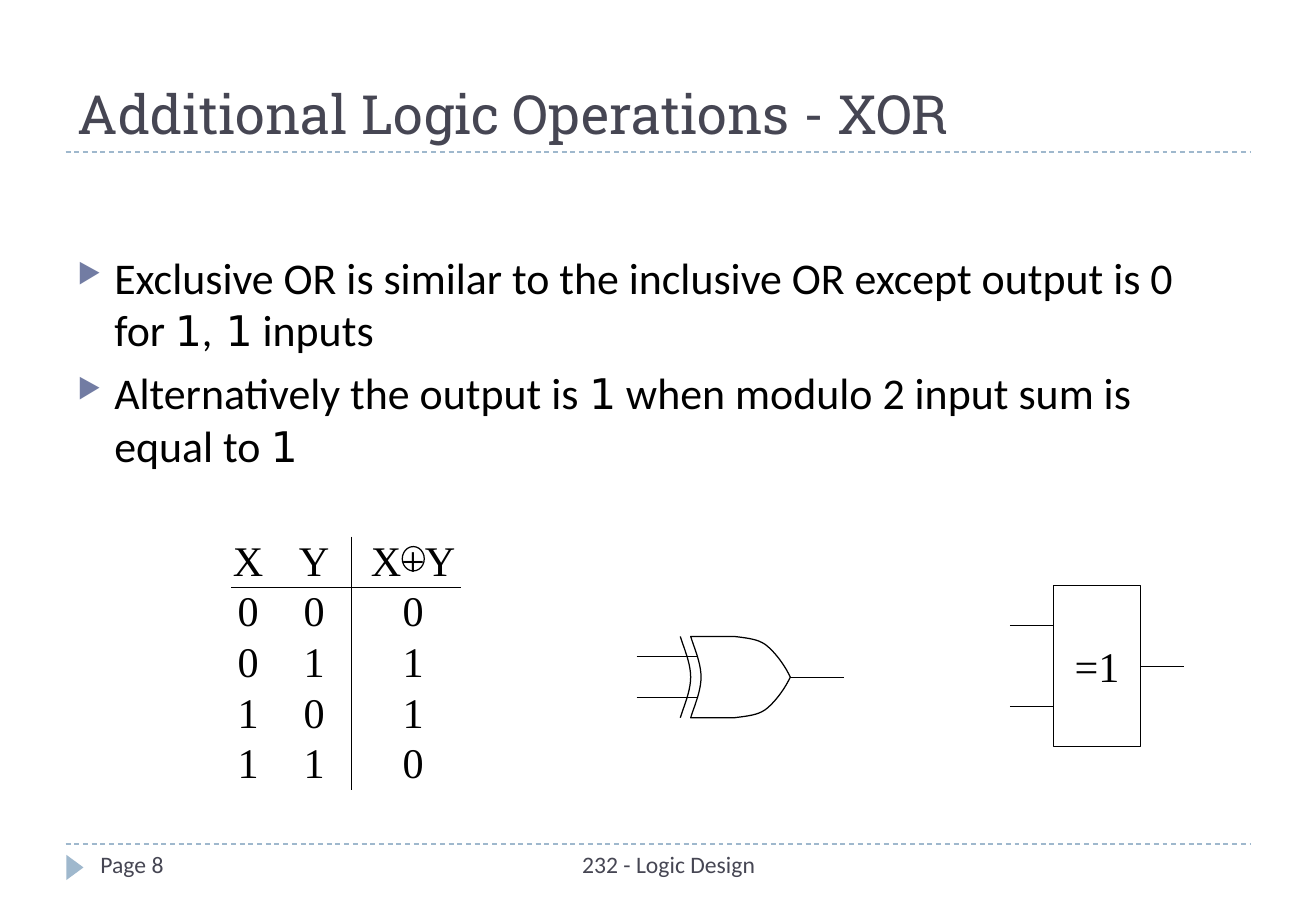
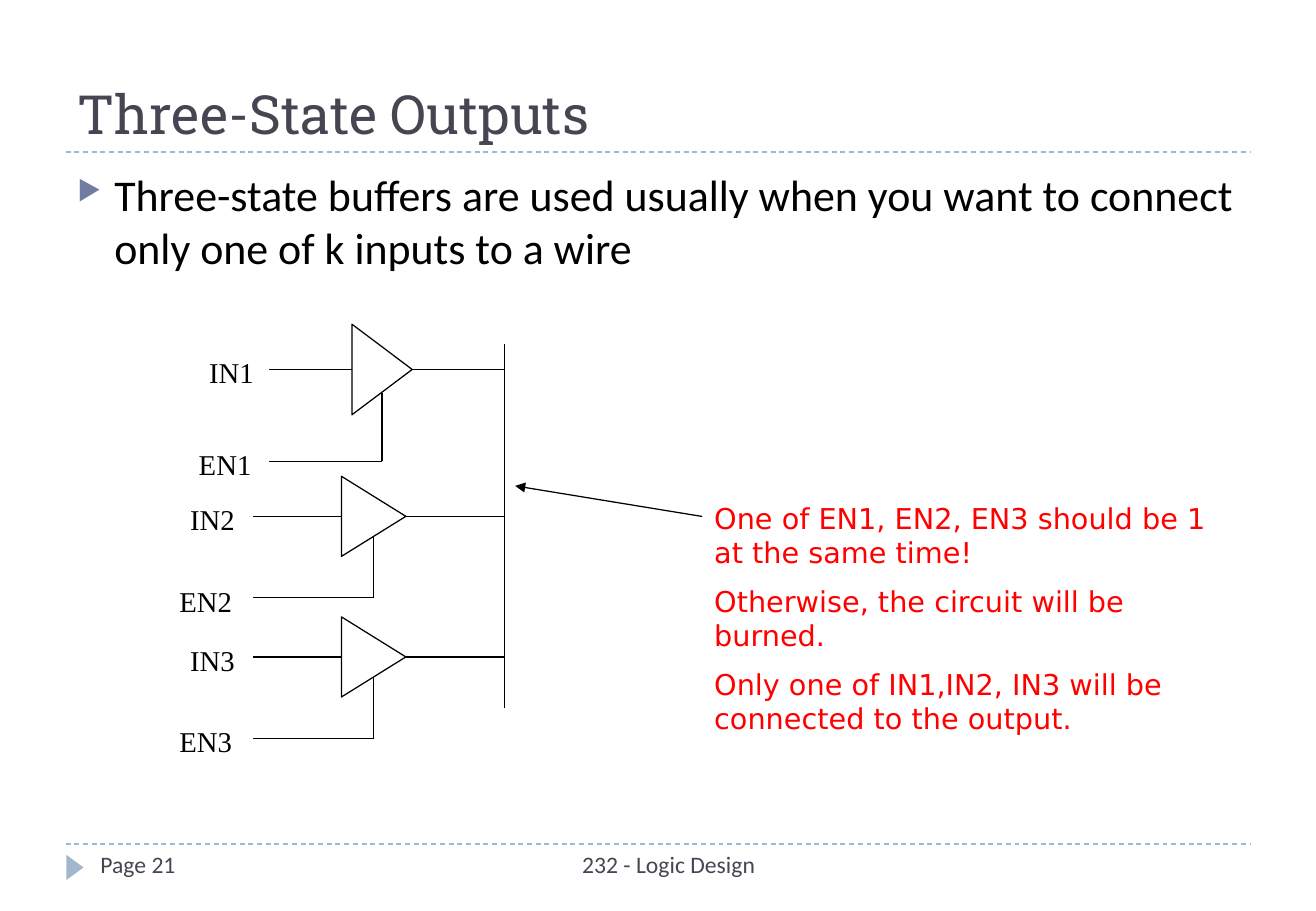
from lxml import etree
from pptx import Presentation
from pptx.dml.color import RGBColor
from pptx.enum.dml import MSO_LINE
from pptx.enum.shapes import MSO_CONNECTOR, MSO_SHAPE
from pptx.enum.text import MSO_ANCHOR, PP_ALIGN
from pptx.oxml.ns import qn
from pptx.util import Cm, Pt

STRAIGHT = MSO_CONNECTOR.STRAIGHT
DASH = MSO_LINE.DASH
TRIANGLE, OVAL, RECTANGLE = MSO_SHAPE.ISOSCELES_TRIANGLE, MSO_SHAPE.OVAL, MSO_SHAPE.RECTANGLE
LEFT, CENTER = PP_ALIGN.LEFT, PP_ALIGN.CENTER
TOP, MIDDLE, BOTTOM = MSO_ANCHOR.TOP, MSO_ANCHOR.MIDDLE, MSO_ANCHOR.BOTTOM

COLORS = {"ink": "000000", "paper": "FFFFFF", "heading": "464653",
          "rule": "9FB8CD", "bullet": "727CA3", "alert": "FF0000"}
STYLES = {
    "title": ("heading", {"name": "Roboto Slab", "size": Pt(32)}),
    "footer": ("heading", {"name": "Calibri", "size": Pt(14)}),
    "body": ("ink", {"name": "Calibri", "size": Pt(26)}),
    "digit": ("ink", {"name": "DejaVu Sans", "size": Pt(25)}),
    "comma": ("ink", {"name": "Calibri", "size": Pt(25)}),
    "symbol": ("ink", {"name": "Times New Roman", "size": Pt(25)}),
    "label": ("ink", {"name": "Times New Roman", "size": Pt(17)}),
    "alert": ("alert", {"name": "DejaVu Sans", "size": Pt(17)}),
}
MARGIN_L, MARGIN_R = 1.37, 26.14
PLAIN_TABLE = "{2D5ABB26-0587-4C30-8999-92F81FD0307C}"


def rgb(name):
    return RGBColor.from_string(COLORS[name])


# ---- text ----
def add_run(p, text, style):
    r = p.add_run()
    r.text = text
    color, values = STYLES[style]
    for key, value in values.items():
        setattr(r.font, key, value)
    r.font.color.rgb = rgb(color)


def write(tf, paragraphs, align=LEFT, anchor=TOP, wrap=True, before=0):
    """Each paragraph is a list of (text, style) runs."""
    tf.word_wrap, tf.vertical_anchor = wrap, anchor
    for i, runs in enumerate(paragraphs):
        p = tf.add_paragraph() if i else tf.paragraphs[0]
        p.alignment, p.space_before = align, Pt(before)
        for text, style in runs:
            add_run(p, text, style)


def text_box(s, box, paragraphs, **layout):
    sp = s.shapes.add_textbox(*map(Cm, box))
    write(sp.text_frame, paragraphs, **layout)
    return sp


def bullets(s, box, paragraphs):
    tf = text_box(s, box, paragraphs, before=6).text_frame
    for p in tf.paragraphs:
        pPr = p._p.get_or_add_pPr()
        pPr.set("marL", str(Cm(0.77)))
        pPr.set("indent", str(-Cm(0.77)))
        clr = etree.SubElement(pPr, qn("a:buClr"))
        etree.SubElement(clr, qn("a:srgbClr"), val=COLORS["bullet"])
        etree.SubElement(pPr, qn("a:buSzPct"), val="62000")
        etree.SubElement(pPr, qn("a:buChar"), char="▶")


# ---- lines and outlines ----
def line(s, x1, y1, x2, y2, color="ink", dash=None, arrow=False):
    c = s.shapes.add_connector(STRAIGHT, *map(Cm, (x1, y1, x2, y2)))
    c.line.color.rgb, c.line.width = rgb(color), Pt(0.75)
    if dash:
        c.line.dash_style = dash
    if arrow:
        etree.SubElement(c.line._get_or_add_ln(), qn("a:tailEnd"), type="triangle")
    etree.SubElement(c._element.spPr, qn("a:effectLst"))


def paint(sp, fill="paper", outline="ink"):
    sp.shadow.inherit = False
    if fill:
        sp.fill.solid()
        sp.fill.fore_color.rgb = rgb(fill)
    else:
        sp.fill.background()
    if outline:
        sp.line.color.rgb, sp.line.width = rgb(outline), Pt(0.75)
    else:
        sp.line.fill.background()


def preset(s, kind, box, fill="paper", outline="ink"):
    sp = s.shapes.add_shape(kind, *map(Cm, box))
    paint(sp, fill, outline)
    return sp


def outline_shape(s, points, closed=True):
    pts = [(Cm(x), Cm(y)) for x, y in points]
    builder = s.shapes.build_freeform(*pts[0])
    builder.add_line_segments(pts[1:], close=closed)
    paint(builder.convert_to_shape(), "paper" if closed else None)


def bezier(a, b, c, d, steps=10):
    def at(t, k):
        u = 1 - t
        return u**3 * a[k] + 3 * u * u * t * b[k] + 3 * u * t * t * c[k] + t**3 * d[k]
    return [(at(i / steps, 0), at(i / steps, 1)) for i in range(steps + 1)]


def with_mirror(points):
    """Continue an upper half by its mirror image below the middle."""
    return points + [(x, 1 - y) for x, y in reversed(points)][1:]


# ---- frame shared by both slides ----
def new_slide(prs, title, page):
    s = prs.slides.add_slide(prs.slide_layouts[5])
    for y in (17.65, 3.18):
        line(s, MARGIN_L, y, MARGIN_R, y, "rule", DASH)
    marker = preset(s, TRIANGLE, (1.3, 17.96, 0.53, 0.36), "rule", None)
    marker.rotation = 90
    text_box(s, (8.71, 17.65, 10.54, 1.02), [[("232 - Logic Design", "footer")]], align=CENTER)
    text_box(s, (1.85, 17.65, 5.97, 1.02), [[(f"Page {page}", "footer")]])
    head = s.shapes.title
    box = {"left": MARGIN_L, "top": 0.43, "width": MARGIN_R - MARGIN_L, "height": 2.74}
    for key, value in box.items():
        setattr(head, key, Cm(value))
    write(head.text_frame, [[(title, "title")]], anchor=BOTTOM)
    return s


# ---- XOR parts ----
def cell_border(cell, side):
    tcPr = cell._tc.get_or_add_tcPr()
    ln = etree.Element(qn(f"a:{side}"), w=str(Pt(0.75)))
    fill = etree.SubElement(ln, qn("a:solidFill"))
    etree.SubElement(fill, qn("a:srgbClr"), val=COLORS["ink"])
    # side borders come first, and all borders come before the fill
    at = sum(child.tag in (qn("a:lnL"), qn("a:lnR")) for child in tcPr)
    tcPr.insert(at, ln)


def truth_table(s, x, y):
    rows = ["X", "Y", "X+Y"], "000", "011", "101", "110"
    # column width, left margin, right margin
    columns = (1.04, 0, 0.33), (1.47, 0, 0.08), (2.29, 0.3, 0)
    heights = [1.02] + [1.06] * 4
    width = sum(c[0] for c in columns)
    table = s.shapes.add_table(len(rows), len(columns),
                               *map(Cm, (x, y, width, sum(heights)))).table
    table.first_row = table.horz_banding = False
    table._tbl.tblPr[0].text = PLAIN_TABLE
    for i, row in enumerate(rows):
        table.rows[i].height = Cm(heights[i])
        for j, value in enumerate(row):
            w, left, right = columns[j]
            table.columns[j].width = Cm(w)
            cell = table.cell(i, j)
            cell.fill.background()
            cell.margin_left, cell.margin_right = Cm(left), Cm(right)
            cell.margin_top = cell.margin_bottom = 0
            cell.vertical_anchor = MIDDLE
            p = cell.text_frame.paragraphs[0]
            p.alignment = CENTER
            add_run(p, value, "symbol")
            if j == 1:
                cell_border(cell, "lnR")
            if i == 0:
                cell_border(cell, "lnB")
    # ring that turns the plus into the XOR sign
    preset(s, OVAL, (x + 3.58, y + 0.21, 0.46, 0.51), None)


def xor_gate(s, x, y, w, h):
    def place(points):
        return [(x + u * w, y + v * h) for u, v in points]
    # inputs, output
    for v in (0.25, 0.75):
        line(s, x, y + v * h, x + 0.31 * w, y + v * h)
    line(s, x + 0.74 * w, y + h / 2, x + w, y + h / 2)
    # back curve, then body
    back = with_mirror(bezier((0.21, 0), (0.23, 0.16), (0.26, 0.33), (0.26, 0.5)))
    nose = with_mirror(bezier((0.47, 0), (0.53, 0.02), (0.59, 0.03), (0.63, 0.12))
                       + bezier((0.63, 0.12), (0.67, 0.21), (0.71, 0.34), (0.74, 0.5)))
    outline_shape(s, place(back), closed=False)
    inner = [(u + 0.05, v) for u, v in reversed(back)]
    outline_shape(s, place(nose + inner))


def xor_block(s, x, y, w, h, lead=0.91):
    sp = preset(s, RECTANGLE, (x, y, w, h))
    write(sp.text_frame, [[("=1", "symbol")]], align=CENTER, anchor=MIDDLE, wrap=False)
    for start, v in ((x - lead, 0.25), (x - lead, 0.75), (x + w, 0.5)):
        line(s, start, y + v * h, start + lead, y + v * h)


# ---- three-state parts ----
def buffer_stage(s, number, x, y, w, h):
    wire, back, tip = x + 0.26 * w, x + 0.52 * w, x + 0.71 * w
    middle, mid_y, bottom = (back + tip) / 2, y + 0.33 * h, y + h
    outline_shape(s, [(tip, mid_y), (back, y), (back, y + 0.66 * h)])
    for ends in ((wire, mid_y, back, mid_y), (tip, mid_y, x + w, mid_y),
                 (middle, y + h / 2, middle, bottom), (middle, bottom, wire, bottom)):
        line(s, *ends)
    for name, u, cy in (("IN", 0.14, mid_y), ("EN", 0.12, bottom)):
        text_box(s, (x + u * w - 1.2, cy - 0.44, 2.4, 1), [[(f"{name}{number}", "label")]],
                 align=CENTER, anchor=MIDDLE, wrap=False)


# ---- slides ----
def xor_slide(prs):
    s = new_slide(prs, "Additional Logic Operations - XOR", 8)
    bullets(s, (MARGIN_L, 5.11, 23.57, 6.25), [
        [("Exclusive OR is similar to the inclusive OR except output is 0 for ", "body"),
         ("1", "digit"), (",", "comma"), (" 1", "digit"), (" inputs", "body")],
        [("Alternatively the output is ", "body"), ("1", "digit"),
         (" when modulo 2 input sum is equal to ", "body"), ("1", "digit")],
    ])
    truth_table(s, 4.83, 11.22)
    xor_gate(s, 13.31, 13.31, 4.34, 1.7)
    xor_block(s, 22.02, 12.24, 1.83, 3.38)


def three_state_slide(prs):
    s = new_slide(prs, "Three-State Outputs", 21)
    bullets(s, (MARGIN_L, 3.38, MARGIN_R - MARGIN_L, 13.64), [
        [("Three-state buffers are used usually when you want to connect "
          "only one of k inputs to a wire", "body")]])
    # buffers end on the shared wire
    bus = 10.54
    stages = (3.91, 6.78, 2.87), (3.45, 9.96, 2.54), (3.45, 12.9, 2.54)
    for number, (x, y, h) in enumerate(stages, 1):
        buffer_stage(s, number, x, y, bus - x, h)
    line(s, bus, 7.19, bus, 14.81)
    # warning
    line(s, 14.68, 10.8, 10.77, 10.16, arrow=True)
    warnings = ("One of EN1, EN2, EN3 should be 1 at the same time!",
                "Otherwise, the circuit will be burned.",
                "Only one of IN1,IN2, IN3 will be connected to the output.")
    text_box(s, (14.68, 10.34, 11.46, 5.36), [[(t, "alert")] for t in warnings], before=8.5)


def main():
    prs = Presentation()
    prs.slide_width, prs.slide_height = Cm(27.51), Cm(19.05)
    xor_slide(prs)
    three_state_slide(prs)
    prs.save("out.pptx")


if __name__ == "__main__":
    main()
